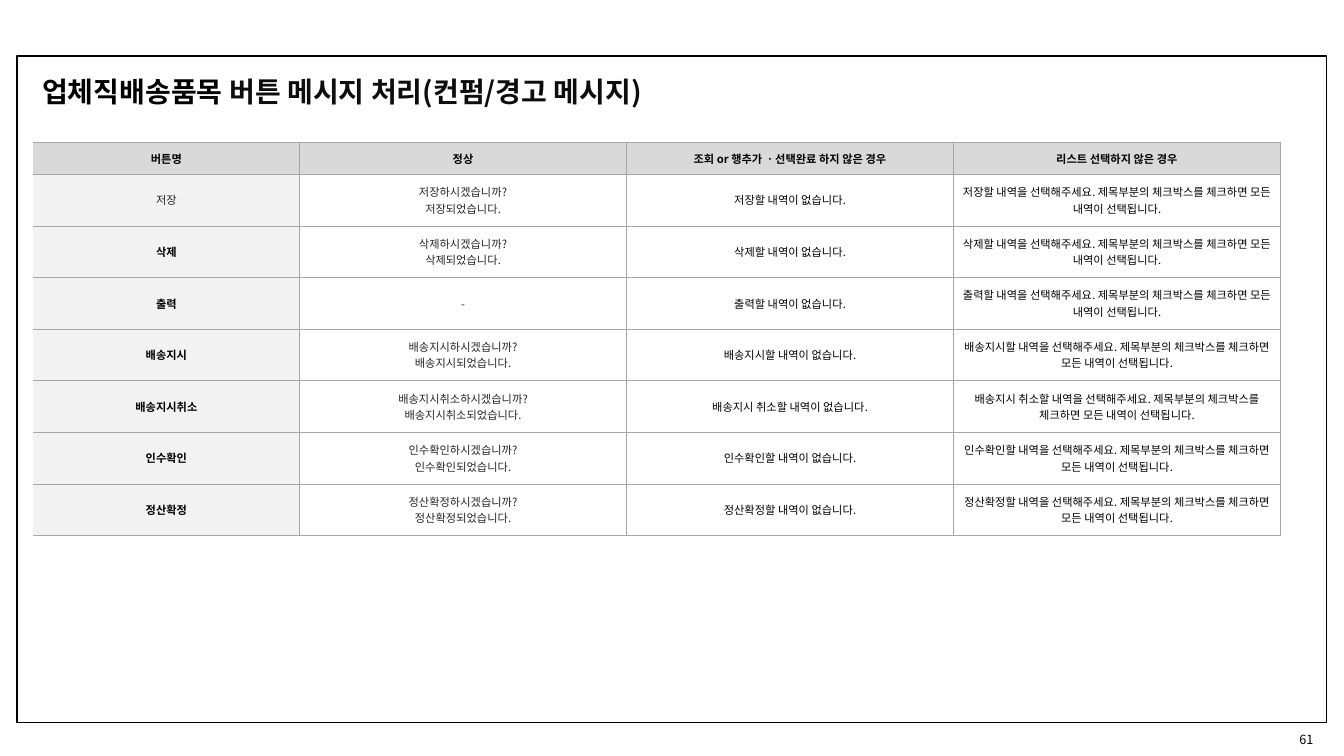
"""Build the slide listing button messages for direct vendor delivery items."""
import pptx
import pptx.util
import pptx.dml.color
import pptx.enum.shapes
import pptx.enum.text
import pptx.oxml

Cm, Pt = pptx.util.Cm, pptx.util.Pt
RGBColor = pptx.dml.color.RGBColor
PP_ALIGN = pptx.enum.text.PP_ALIGN
MIDDLE = pptx.enum.text.MSO_ANCHOR.MIDDLE

FONT = "Noto Sans CJK KR"
BLACK = RGBColor(0x00, 0x00, 0x00)
TITLE_GREY = RGBColor(0x0D, 0x0D, 0x0D)
TEXT_GREY = RGBColor(0x26, 0x26, 0x26)
HEADER_FILL = RGBColor(0xD9, 0xD9, 0xD9)
NAME_FILL = RGBColor(0xF2, 0xF2, 0xF2)
BORDER = RGBColor(0xA6, 0xA6, 0xA6)
NS = 'xmlns:a="http://schemas.openxmlformats.org/drawingml/2006/main"'


def format_run(r, size, color, bold=False):
    r.font.size = Pt(size)
    r.font.bold = bold
    r.font.color.rgb = color
    r.font.name = FONT
    r._r.get_or_add_rPr().append(
        pptx.oxml.parse_xml(f'<a:ea {NS} typeface="{FONT}"/>'))


def set_borders(cell, first):
    for side in ("lnL", "lnR", "lnT", "lnB"):
        fill = f'<a:solidFill><a:srgbClr val="{BORDER}"/></a:solidFill>'
        if first and side == "lnL":
            fill = "<a:noFill/>"
        cell._tc.get_or_add_tcPr().append(
            pptx.oxml.parse_xml(f'<a:{side} {NS} w="3175">{fill}</a:{side}>'))


prs = pptx.Presentation()
prs.slide_width, prs.slide_height = Cm(33.87), Cm(19.05)
s = prs.slides.add_slide(prs.slide_layouts[5])

frame = s.shapes.add_shape(pptx.enum.shapes.MSO_SHAPE.RECTANGLE,
                           Cm(0.43), Cm(1.42), Cm(33), Cm(16.79))
frame.shadow.inherit = False
frame.fill.background()
frame.line.color.rgb = BLACK
frame.line.width = Pt(1.3)

title = s.shapes.title
title.left, title.top, title.width, title.height = Cm(0.81), Cm(1.75), Cm(16.79), Cm(1.12)
tf = title.text_frame
tf.word_wrap = False
tf.auto_size = pptx.enum.text.MSO_AUTO_SIZE.SHAPE_TO_FIT_TEXT
tf.vertical_anchor = MIDDLE
p = tf.paragraphs[0]
p.alignment = PP_ALIGN.LEFT
for text, color in (("업체직배송품목", BLACK),
                    (" 버튼 메시지 처리(컨펌/경고 메시지)", TITLE_GREY)):
    r = p.add_run()
    r.text = text
    format_run(r, 20, color, bold=True)

page = s.shapes.add_textbox(Cm(31.6), Cm(18.24), Cm(1.75), Cm(0.79))
tf = page.text_frame
tf.word_wrap = True
tf.vertical_anchor = MIDDLE
tf.text = "61"
tf.paragraphs[0].alignment = PP_ALIGN.RIGHT
format_run(tf.paragraphs[0].runs[0], 9, BLACK)

rows = [("버튼명", "정상", "조회 or 행추가 ㆍ선택완료 하지 않은 경우", "리스트 선택하지 않은 경우")]
for name in ("저장", "삭제", "출력", "배송지시", "배송지시취소", "인수확인", "정산확정"):
    action = name.replace("지시취소", "지시 취소")
    normal = "-" if name == "출력" else f"{name}하시겠습니까?\n{name}되었습니다."
    rows.append((name, normal, f"{action}할 내역이 없습니다.",
                 f"{action}할 내역을 선택해주세요. 제목부분의 체크박스를 체크하면 모든 내역이 선택됩니다."))

widths = [6.71, 8.24, 8.24, 8.24]
heights = [0.8] + [1.3] * (len(rows) - 1)
table = s.shapes.add_table(len(rows), len(widths), Cm(0.84), Cm(3.59),
                           Cm(sum(widths)), Cm(sum(heights))).table
table.first_row = table.horz_banding = False
for column, width in zip(table.columns, widths):
    column.width = Cm(width)
for row, height in zip(table.rows, heights):
    row.height = Cm(height)

for i, texts in enumerate(rows):
    for j, text in enumerate(texts):
        cell = table.cell(i, j)
        cell.vertical_anchor = MIDDLE
        cell.margin_left = cell.margin_right = Cm(0.2)
        cell.margin_top = cell.margin_bottom = Cm(0.12)
        set_borders(cell, j == 0)
        if i == 0 or j == 0:
            cell.fill.solid()
            cell.fill.fore_color.rgb = HEADER_FILL if i == 0 else NAME_FILL
        else:
            cell.fill.background()
        plain_name = text == "저장"
        bold = (i == 0 or j == 0) and not plain_name
        color = TEXT_GREY if plain_name or (i > 0 and j == 1) else BLACK
        cell.text_frame.text = text
        for p in cell.text_frame.paragraphs:
            p.alignment = PP_ALIGN.CENTER
            format_run(p.runs[0], 8, color, bold)

prs.save("out.pptx")
